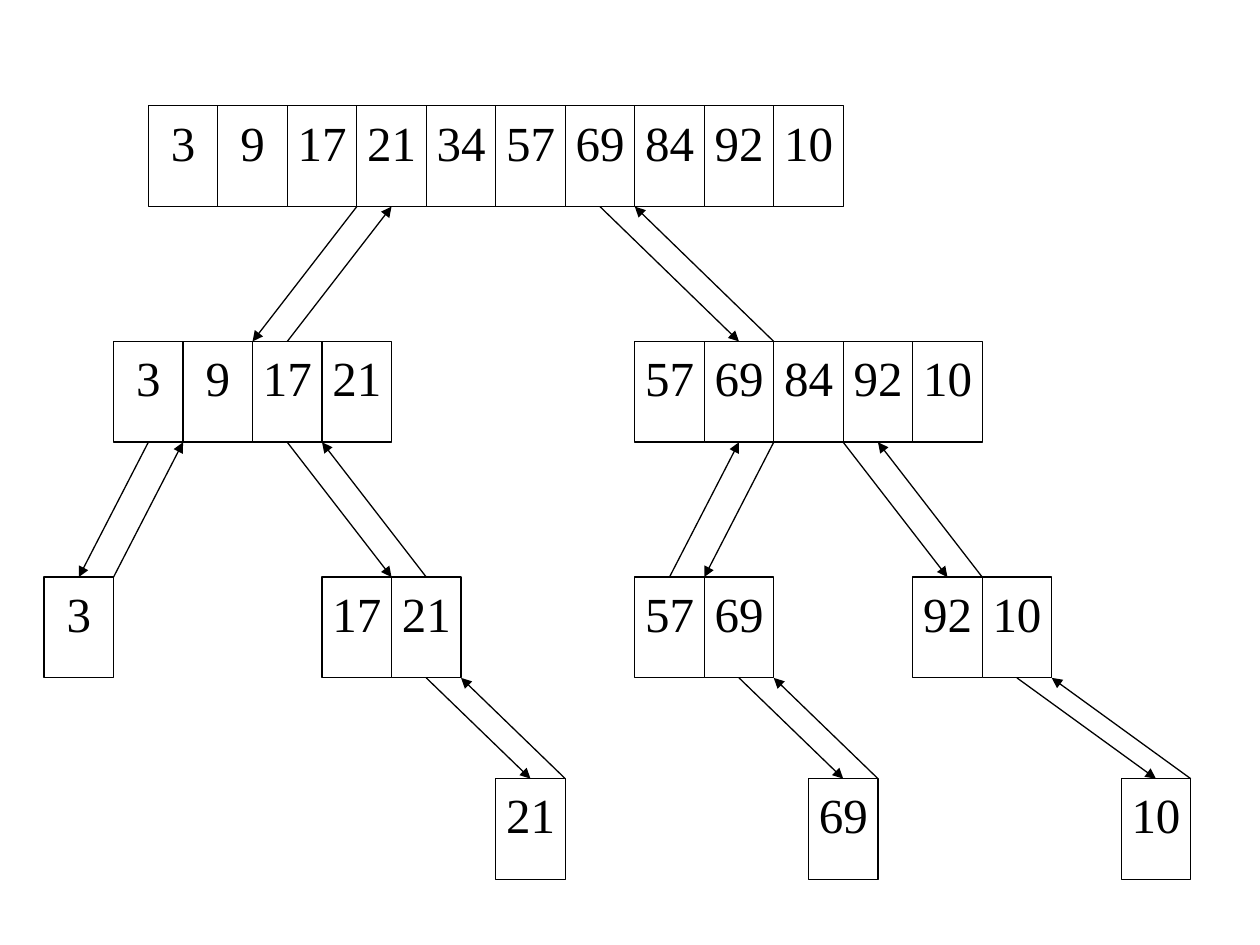
from dataclasses import dataclass

from lxml import etree
from pptx import Presentation
from pptx.dml.color import RGBColor
from pptx.enum.shapes import MSO_CONNECTOR, MSO_SHAPE
from pptx.enum.text import MSO_ANCHOR, PP_ALIGN
from pptx.oxml.ns import qn
from pptx.shapes.autoshape import Shape
from pptx.shapes.shapetree import GroupShapes
from pptx.util import Inches, Pt

RECTANGLE = MSO_SHAPE.RECTANGLE
STRAIGHT = MSO_CONNECTOR.STRAIGHT
CENTER = PP_ALIGN.CENTER
TOP = MSO_ANCHOR.TOP

COLORS = {"ink": "000000", "paper": "FFFFFF"}
FONT = "Times New Roman"
LINE_WIDTH = Pt(0.75)

# Horizontal grid: one column is half a cell
GRID_LEFT, GRID_RIGHT, GRID_COLUMNS = 0.35, 9.45, 33
COLUMN = (GRID_RIGHT - GRID_LEFT) / GRID_COLUMNS
CELL_WIDTH, CELL_HEIGHT = 2 * COLUMN, 0.8
LEVEL_TOPS = (0.84, 2.71, 4.58, 6.18)


@dataclass(frozen=True)
class NumberList:
    level: int
    column: int
    values: str


@dataclass(frozen=True)
class Link:
    """Call and return arrows between a list and its half, by grid column."""
    parent_level: int
    call_start: int
    call_end: int
    return_start: int
    return_end: int


LISTS = (
    NumberList(0, 3, "3 9 17 21 34 57 69 84 92 10"),
    NumberList(1, 2, "3 9 17 21"),
    NumberList(1, 17, "57 69 84 92 10"),
    NumberList(2, 0, "3"),
    NumberList(2, 8, "17 21"),
    NumberList(2, 17, "57 69"),
    NumberList(2, 25, "92 10"),
    NumberList(3, 13, "21"),
    NumberList(3, 22, "69"),
    NumberList(3, 31, "10"),
)

LINKS = (
    Link(0, 9, 6, 7, 10),
    Link(0, 16, 20, 21, 17),
    Link(1, 3, 1, 2, 4),
    Link(1, 7, 10, 11, 8),
    Link(1, 21, 19, 18, 20),
    Link(1, 23, 26, 27, 24),
    Link(2, 11, 14, 15, 12),
    Link(2, 20, 23, 24, 21),
    Link(2, 28, 32, 33, 29),
)


def color(name: str) -> RGBColor:
    return RGBColor.from_string(COLORS[name])


def grid_x(column: int) -> float:
    return GRID_LEFT + column * COLUMN


def write_text(shape: Shape, text: str, *, size: float = 28,
               ink: str = "ink", alignment: PP_ALIGN = CENTER) -> None:
    frame = shape.text_frame
    frame.word_wrap = True
    frame.vertical_anchor = TOP
    frame.margin_left = frame.margin_right = 0
    frame.margin_top = frame.margin_bottom = Inches(0.05)
    paragraph = frame.paragraphs[0]
    paragraph.alignment = alignment
    run = paragraph.add_run()
    run.text = text
    run.font.name = FONT
    run.font.size = Pt(size)
    run.font.color.rgb = color(ink)


def draw_list(shapes: GroupShapes, number_list: NumberList) -> None:
    for index, value in enumerate(number_list.values.split()):
        cell = shapes.add_shape(
            RECTANGLE,
            Inches(grid_x(number_list.column + 2 * index)),
            Inches(LEVEL_TOPS[number_list.level]),
            Inches(CELL_WIDTH), Inches(CELL_HEIGHT))
        cell.shadow.inherit = False
        cell.fill.solid()
        cell.fill.fore_color.rgb = color("paper")
        cell.line.color.rgb = color("ink")
        cell.line.width = LINE_WIDTH
        write_text(cell, value)


def draw_arrow(shapes: GroupShapes, start: tuple[float, float],
               end: tuple[float, float]) -> None:
    arrow = shapes.add_connector(
        STRAIGHT, *(Inches(length) for length in (*start, *end)))
    arrow.line.color.rgb = color("ink")
    arrow.line.width = LINE_WIDTH
    properties = arrow.element.spPr
    etree.SubElement(properties.find(qn("a:ln")), qn("a:tailEnd"), type="triangle")
    etree.SubElement(properties, qn("a:effectLst"))


def draw_link(shapes: GroupShapes, link: Link) -> None:
    parent_bottom = LEVEL_TOPS[link.parent_level] + CELL_HEIGHT
    child_top = LEVEL_TOPS[link.parent_level + 1]
    draw_arrow(shapes, (grid_x(link.call_start), parent_bottom),
               (grid_x(link.call_end), child_top))
    draw_arrow(shapes, (grid_x(link.return_start), child_top),
               (grid_x(link.return_end), parent_bottom))


def main() -> None:
    presentation = Presentation()
    presentation.slide_width = Inches(10)
    presentation.slide_height = Inches(7.5)
    slide = presentation.slides.add_slide(presentation.slide_layouts[6])
    tree = slide.shapes.add_group_shape().shapes

    # Number lists, level by level
    for number_list in LISTS:
        draw_list(tree, number_list)

    # Call and return arrows
    for link in LINKS:
        draw_link(tree, link)

    presentation.save("out.pptx")


if __name__ == "__main__":
    main()
